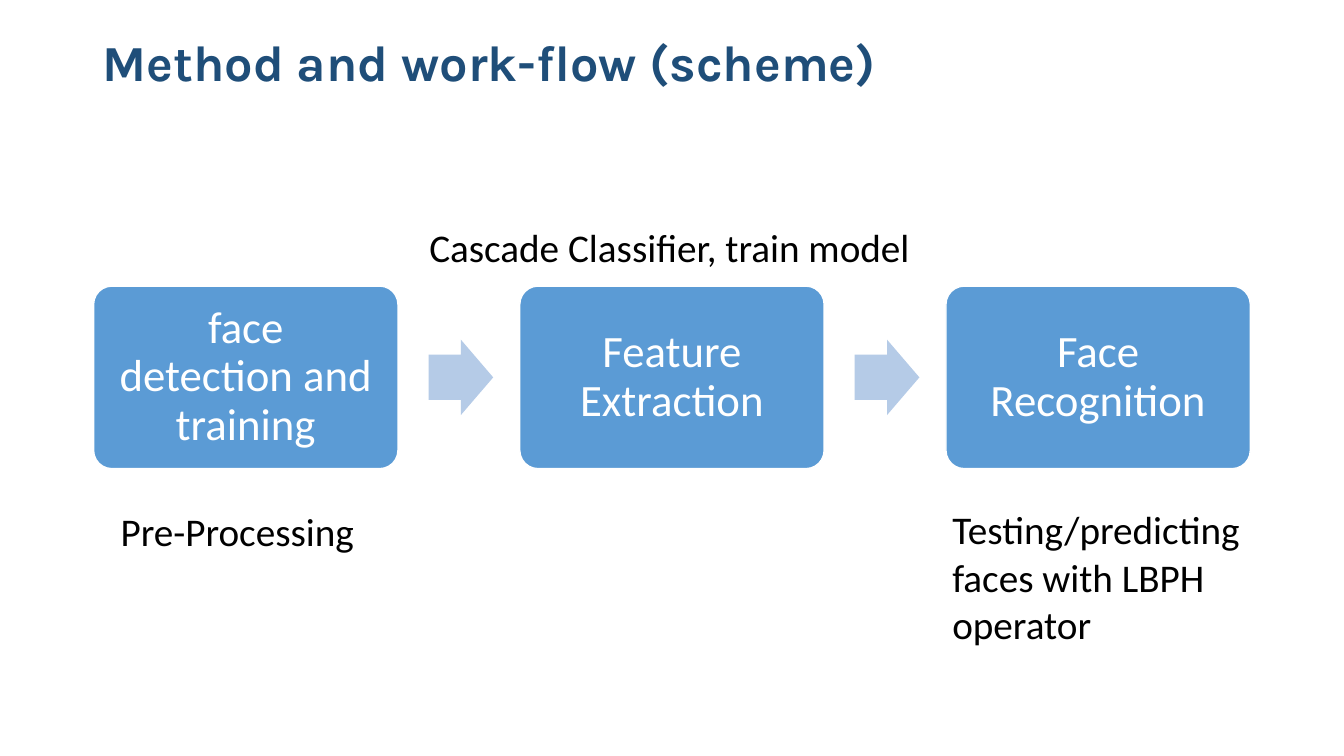
import pptx
import pptx.util
import pptx.dml.color
import pptx.enum.shapes
import pptx.enum.text

Cm = pptx.util.Cm
Kind = pptx.enum.shapes.MSO_SHAPE
Align = pptx.enum.text.PP_ALIGN
Anchor = pptx.enum.text.MSO_ANCHOR
hues = {"title": "1F4E79", "box": "5B9BD5", "arrow": "B5CBE7", "white": "FFFFFF", "black": "000000"}

deck = pptx.Presentation()
deck.slide_width = Cm(33.87)
deck.slide_height = Cm(19.05)
slide = deck.slides.add_slide(deck.slide_layouts[6])


def tint(name):
    return pptx.dml.color.RGBColor.from_string(hues[name])


def write(text, shape=None, place=None, size=28, font="Calibri", hue="black", bold=False,
          align=Align.LEFT, anchor=Anchor.TOP, lines=1.0, inset=0.25):
    if shape is None:
        shape = slide.shapes.add_textbox(*map(Cm, place))
    frame = shape.text_frame
    frame.word_wrap = True
    frame.vertical_anchor = anchor
    frame.margin_left = frame.margin_right = Cm(inset)
    par = frame.paragraphs[0]
    par.alignment = align
    par.line_spacing = lines
    run = par.add_run()
    run.text = text
    run.font.size = pptx.util.Pt(size)
    run.font.name = font
    run.font.bold = bold
    run.font.color.rgb = tint(hue)


write("Method and work-flow (scheme)", place=(2.34, 0.53, 29.21, 2.21), size=36, font="Karla",
      hue="title", bold=True, anchor=Anchor.MIDDLE, lines=0.9)

steps = ["face detection and training", "Feature Extraction", "Face Recognition"]
left, top, wide, high, pitch = 2.36, 7.21, 7.67, 4.6, 10.74
for i, step in enumerate(steps):
    x = left + i * pitch
    box = slide.shapes.add_shape(Kind.ROUNDED_RECTANGLE, Cm(x), Cm(top), Cm(wide), Cm(high))
    box.adjustments[0] = 0.1
    box.shadow.inherit = False
    box.fill.solid()
    box.fill.fore_color.rgb = tint("box")
    box.line.color.rgb = tint("white")
    box.line.width = pptx.util.Pt(1)
    write(step, shape=box, size=32, hue="white", align=Align.CENTER,
          anchor=Anchor.MIDDLE, lines=0.9, inset=0.47)
    if i < len(steps) - 1:
        arrow = slide.shapes.add_shape(Kind.RIGHT_ARROW, Cm(x + 8.44), Cm(top + high / 2 - 0.95),
                                       Cm(1.63), Cm(1.9))
        arrow.adjustments[0] = 0.6
        arrow.adjustments[1] = 0.5
        arrow.shadow.inherit = False
        arrow.fill.solid()
        arrow.fill.fore_color.rgb = tint("arrow")
        arrow.line.fill.background()

notes = [
    ("Pre-Processing", (2.79, 12.67, 7.8, 1.45)),
    ("Cascade Classifier, train model", (10.57, 5.49, 12.73, 1.45)),
    ("Testing/predicting faces with LBPH operator", (23.75, 12.62, 7.8, 3.84)),
]
for text, place in notes:
    write(text, place=place)

deck.save("out.pptx")
